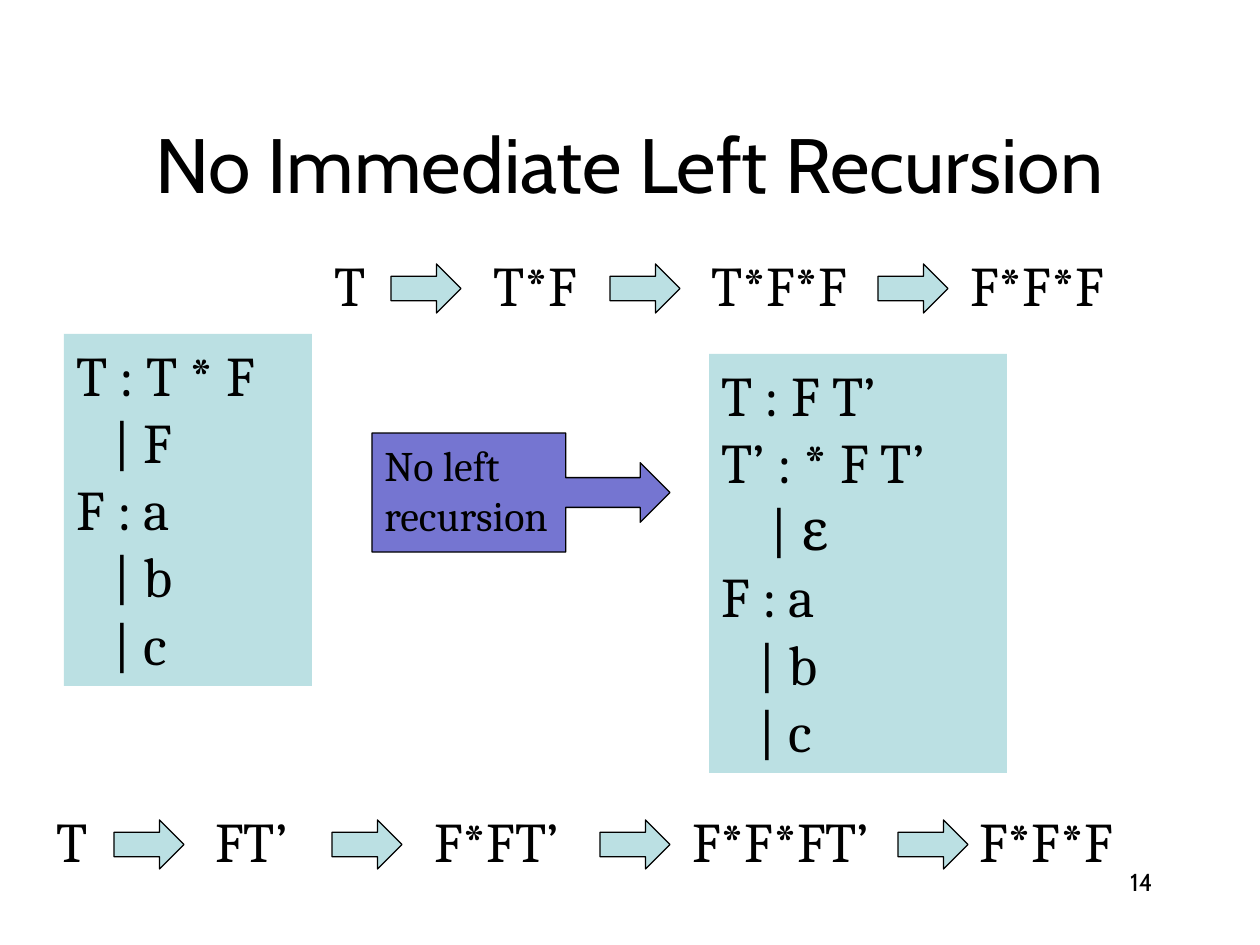
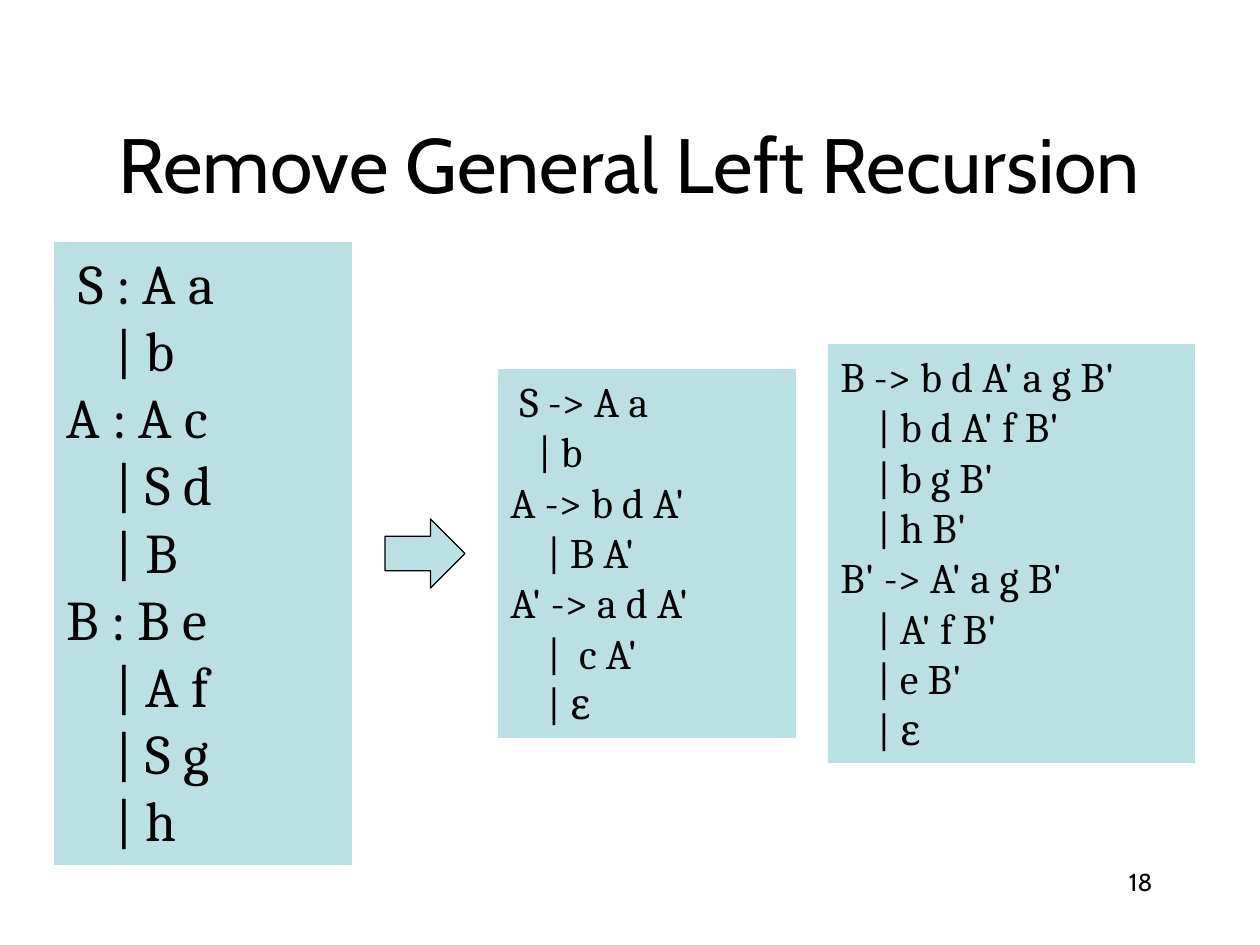
"""Build two slides on removing left recursion from a grammar."""
from pptx import Presentation
from pptx.dml.color import RGBColor
from pptx.enum.shapes import MSO_SHAPE as SHAPE
from pptx.enum.text import MSO_ANCHOR as ANCHOR, PP_ALIGN as ALIGN
from pptx.util import Pt

PX = 914400 / 126
BLACK, TEAL, VIOLET = "000000", "BBE0E3", "7575D1"
TITLE = {"name": "Cabin", "size": Pt(44)}
NUMBER = {"name": "Cabin", "size": Pt(14)}
LARGE = {"name": "Cambria", "size": Pt(32)}
SMALL = {"name": "Cambria", "size": Pt(24)}


def rgb(value):
    return RGBColor.from_string(value)


def add(s, box, kind=None, fill=TEAL, line=False, lines=(), font=LARGE,
        align=ALIGN.LEFT, anchor=ANCHOR.TOP):
    x, y, w, h = [round(v * PX) for v in box]
    if kind is None:
        sp = s.shapes.add_textbox(x, y, w, h)
    else:
        sp = s.shapes.add_shape(kind, x, y, w, h)
        sp.shadow.inherit = False
        sp.fill.solid()
        sp.fill.fore_color.rgb = rgb(fill)
        if line:
            sp.line.color.rgb = rgb(BLACK)
            sp.line.width = Pt(0.75)
        else:
            sp.line.fill.background()
    tf = sp.text_frame
    tf.word_wrap = True
    tf.vertical_anchor = anchor
    for i, text in enumerate(lines):
        p = tf.add_paragraph() if i else tf.paragraphs[0]
        p.alignment = align
        r = p.add_run()
        r.text = text
        r.font.color.rgb = rgb(BLACK)
        for key, value in font.items():
            setattr(r.font, key, value)
    return sp


slides = [
    {
        "title": "No Immediate Left Recursion",
        "number": "14",
        "grammars": [
            ((64, 334, 248, 352), LARGE,
             ["T : T * F", "   | F", "F : a", "   | b", "   | c"]),
            ((709, 354, 298, 419), LARGE,
             ["T : F T’", "T’ : * F T’", "    | ε", "F : a", "   | b", "   | c"]),
        ],
        "arrows": [],
        "callouts": [((372, 433, 298, 119), ["No left recursion"])],
        "derivations": [
            (244, [(322, 69, "T"), (481, 129, "T*F"), (699, 189, "T*F*F"),
                   (958, 189, "F*F*F")], [391, 610, 878]),
            (800, [(44, 69, "T"), (203, 129, "FT’"), (422, 189, "F*FT’"),
                   (680, 248, "F*F*FT’"), (967, 248, "F*F*F")],
             [114, 332, 600, 898]),
        ],
    },
    {
        "title": "Remove General Left Recursion",
        "number": "18",
        "grammars": [
            ((54, 242, 298, 623), LARGE,
             [" S : A a", "    | b", "A : A c", "    | S d", "    | B",
              "B : B e", "    | A f", "    | S g", "    | h"]),
            ((498, 369, 298, 369), SMALL,
             [" S -> A a", "   | b", "A -> b d A'", "    | B A'",
              "A' -> a d A'", "    |  c A'", "    | ε"]),
            ((828, 344, 367, 419), SMALL,
             ["B -> b d A' a g B'", "    | b d A' f B'", "    | b g B'",
              "    | h B'", "B' -> A' a g B'", "    | A' f B'",
              "    | e B'", "    | ε"]),
        ],
        "arrows": [(385, 519, 80, 69)],
        "callouts": [],
        "derivations": [],
    },
]

prs = Presentation()
prs.slide_width, prs.slide_height = round(1260 * PX), round(945 * PX)

for data in slides:
    s = prs.slides.add_slide(prs.slide_layouts[6])
    s.background.fill.solid()
    s.background.fill.fore_color.rgb = rgb("FFFFFF")
    add(s, (94, 84, 1071, 158), lines=[data["title"]], font=TITLE,
        align=ALIGN.CENTER, anchor=ANCHOR.MIDDLE)
    add(s, (903, 861, 262, 63), lines=[data["number"]], font=NUMBER,
        align=ALIGN.RIGHT)
    for box, font, lines in data["grammars"]:
        add(s, box, SHAPE.RECTANGLE, lines=lines, font=font)
    for box in data["arrows"]:
        add(s, box, SHAPE.RIGHT_ARROW, line=True)
    for box, lines in data["callouts"]:
        sp = add(s, box, SHAPE.RIGHT_ARROW_CALLOUT, VIOLET, True, lines, SMALL)
        sp.adjustments[3] = 0.65
    for y, words, arrows in data["derivations"]:
        for x, w, word in words:
            add(s, (x, y, w, 81), lines=[word])
        for x in arrows:
            add(s, (x, y + 20, 70, 49), SHAPE.RIGHT_ARROW, line=True)

prs.save("out.pptx")
